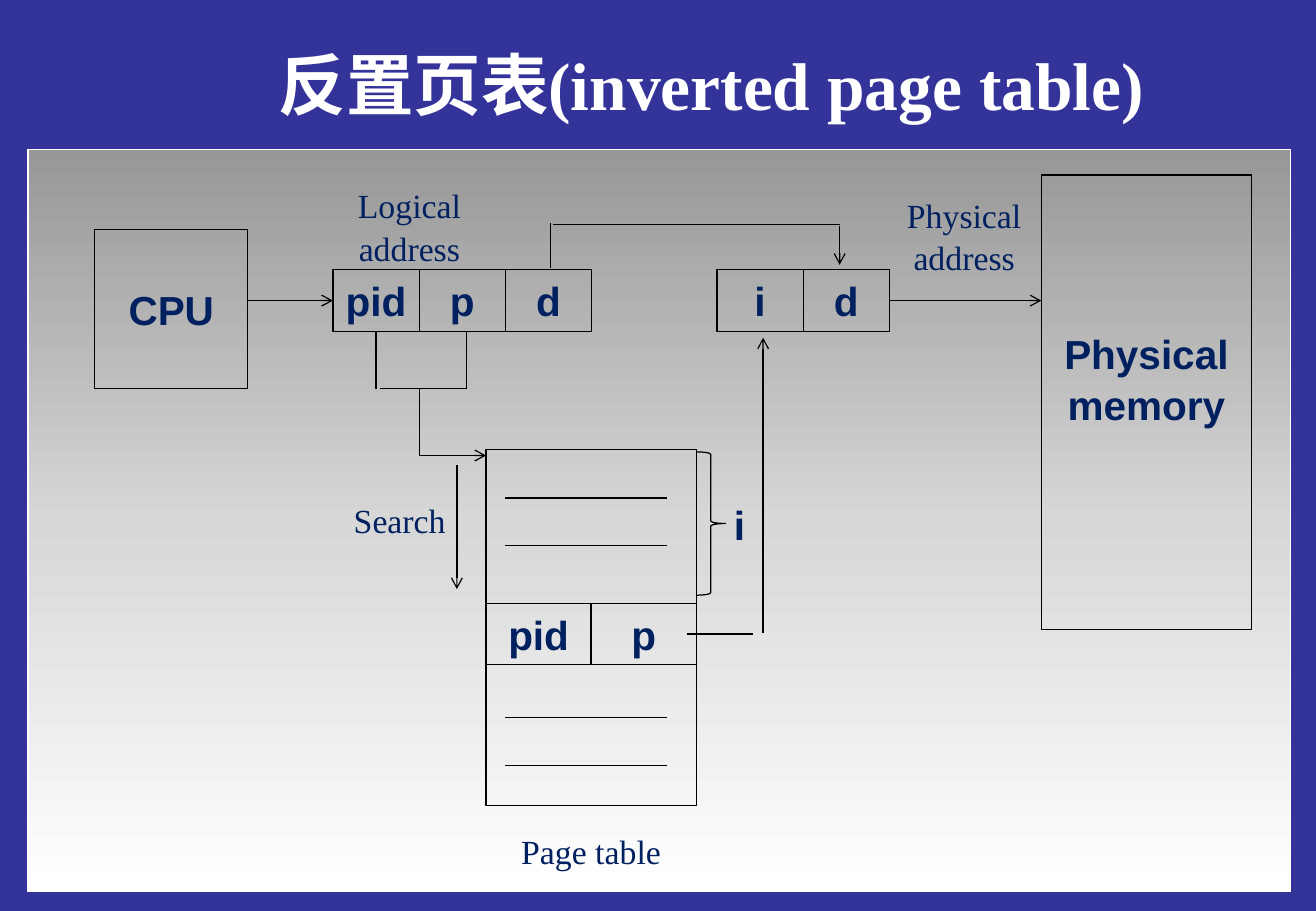
"""Build the slide on the inverted page table."""
import copy

import lxml.etree
import pptx
import pptx.dml.color
import pptx.enum.shapes
import pptx.enum.text
import pptx.oxml.ns
import pptx.util

WIDE, HIGH, GRID = 108.3, 75, 0.1
HEX = {"back": "333399", "ink": "002060", "rule": "000000", "white": "FFFFFF"}
FADE = [(0, "979797"), (0.5, "D7D7D7"), (1, "FFFFFF")]
SANS, SERIF = "Arial", "Times New Roman"
TITLE = ("反置页表(inverted page table)", (12.5, 2.3, 92.1, 9.2))
PANEL = (2.3, 12.3, 103.9, 61.1)

CELL, ROW, TALL = 7.1, 22.2, 5.1
MID = ROW + TALL / 2
LEFT, TOP, SPAN = 40, 37, 17.3
HALF = SPAN / 2

BOXES = {
    "cpu": ("CPU", (7.8, 18.9, 12.6, 13.1)),
    "memory": ("Physical\nmemory", (85.7, 14.4, 17.3, 37.4)),
    "table": ("", (LEFT, TOP, SPAN, 29.3)),
}
STRIPS = [
    ("logical", ["pid", "p", "d"], 27.4, ROW, CELL, TALL),
    ("physical", ["i", "d"], 59, ROW, CELL, TALL),
    ("entry", ["pid", "p"], LEFT, 49.7, HALF, 5),
]
LABELS = [
    ("Page table", (37.6, 67.9, 22.1, 4.4), SERIF),
    ("Physical\naddress", (68.3, 15.5, 22.1, 7.7), SERIF),
    ("Logical\naddress", (22.7, 14.7, 22, 7.7), SERIF),
    ("Search", (26.6, 40.6, 12.6, 4.4), SERIF),
    ("i", (57.3, 40.6, 7.1, 5.1), SANS),
]
BRACE = (57.3, 37.2, 2.4, 11.8)
DASHES = [41, 44.9, 59.1, 63]
LINES = [
    ((30.95, 27.3), (30.95, 32), ("logical0", 2), None),
    ((38.4, 27.3), (38.4, 32), None, None),
    ((31.3, 32), (38.4, 32), None, None),
    ((34.5, 32), (34.5, 37.5), None, None),
    ((56.5, 52.2), (62, 52.2), None, None),
    ((45.3, 18.4), (45.3, 22.1), None, None),
    ((45.5, 18.5), (69.1, 18.5), None, None),
]
ARROWS = [
    ((20.4, MID), (27.4, MID), None, ("logical0", 1)),
    ((73.2, MID), (85.7, MID), ("physical1", 3), None),
    ((34.5, 37.5), (40, 37.5), None, None),
    ((62.8, 52.1), (62.8, 27.8), None, None),
    ((37.6, 38.3), (37.6, 48.5), None, None),
    ((69.1, 18.6), (69.1, 21.8), None, None),
]


def size(units):
    return pptx.util.Inches(units * GRID)


def color(name):
    return pptx.dml.color.RGBColor.from_string(HEX.get(name, name))


def write(shape, text, font, points, bold, ink="ink"):
    frame = shape.text_frame
    frame.text = text
    frame.word_wrap = True
    frame.vertical_anchor = pptx.enum.text.MSO_ANCHOR.MIDDLE
    frame.margin_left = frame.margin_right = 0
    frame.margin_top = frame.margin_bottom = 0
    for para in frame.paragraphs:
        para.alignment = pptx.enum.text.PP_ALIGN.CENTER
        para.line_spacing = 1.05 if "\n" in text else 1
        para.font.name, para.font.size = font, pptx.util.Pt(points)
        para.font.bold = bold
        para.font.color.rgb = color(ink)


def draw(slide, kind, place, line="rule"):
    shape = slide.shapes.add_shape(kind, *map(size, place))
    shape.shadow.inherit = False
    shape.fill.background()
    shape.line.color.rgb = color(line)
    shape.line.width = pptx.util.Pt(0.75)
    return shape


def shade(shape):
    shape.fill.gradient()
    shape.fill.gradient_angle = 270
    stops = shape._element.spPr.find(".//" + pptx.oxml.ns.qn("a:gsLst"))
    stops.insert(1, copy.deepcopy(stops[0]))
    for stop, (share, tone) in zip(shape.fill.gradient_stops, FADE):
        stop.position = share
        stop.color.rgb = color(tone)


def link(slide, made, start, end, first=None, last=None, arrow=False):
    straight = pptx.enum.shapes.MSO_CONNECTOR.STRAIGHT
    line = slide.shapes.add_connector(straight, *map(size, start + end))
    if first:
        line.begin_connect(made[first[0]], first[1])
    if last:
        line.end_connect(made[last[0]], last[1])
    line.line.color.rgb = color("rule")
    line.line.width = pptx.util.Pt(0.75)
    if arrow:
        tip = pptx.oxml.ns.qn("a:tailEnd")
        lxml.etree.SubElement(line.line._get_or_add_ln(), tip, type="arrow")
    props = line._element.spPr
    lxml.etree.SubElement(props, pptx.oxml.ns.qn("a:effectLst"))


def main():
    deck = pptx.Presentation()
    deck.slide_width, deck.slide_height = size(WIDE), size(HIGH)
    slide = deck.slides.add_slide(deck.slide_layouts[5])
    slide.background.fill.solid()
    slide.background.fill.fore_color.rgb = color("back")
    kinds = pptx.enum.shapes.MSO_SHAPE

    shade(draw(slide, kinds.RECTANGLE, PANEL, "white"))
    boxes = dict(BOXES)
    for name, words, left, top, wide, tall in STRIPS:
        for col, word in enumerate(words):
            place = (left + col * wide, top, wide, tall)
            boxes[f"{name}{col}"] = (word, place)
    made = {}
    for name, (word, place) in boxes.items():
        made[name] = draw(slide, kinds.RECTANGLE, place)
        if word:
            write(made[name], word, SANS, 24, True)
    made["memory"].text_frame.margin_bottom = size(4)
    draw(slide, kinds.RIGHT_BRACE, BRACE)

    for row in DASHES:
        link(slide, made, (LEFT + 1.6, row), (LEFT + 14.9, row))
    for line in LINES:
        link(slide, made, *line)
    for line in ARROWS:
        link(slide, made, *line, arrow=True)

    for word, place, font in LABELS:
        label = slide.shapes.add_textbox(*map(size, place))
        bold = font == SANS
        write(label, word, font, 24 if bold else 20, bold)

    title = slide.shapes.title
    text, place = TITLE
    title.left, title.top, title.width, title.height = map(size, place)
    write(title, text, SERIF, 40, True, "white")
    deck.save("out.pptx")


if __name__ == "__main__":
    main()
